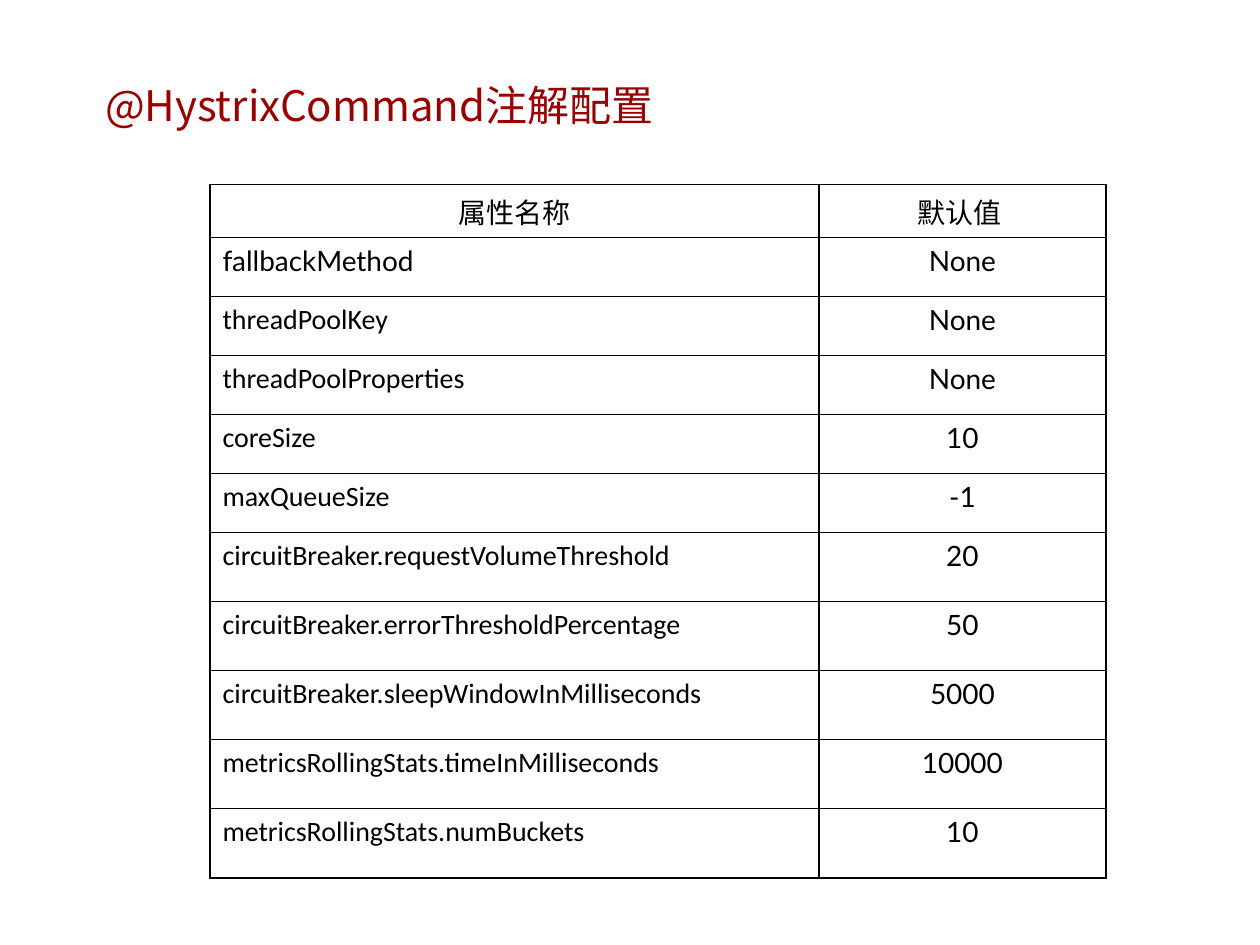
from dataclasses import dataclass

from lxml import etree
from pptx import Presentation
from pptx.dml.color import RGBColor
from pptx.enum import text as tx
from pptx.oxml import ns
from pptx.util import Pt


@dataclass(frozen=True)
class Theme:
    title_color: str = "990000"
    ink: str = "000000"
    title_size: int = 24
    cell_size: int = 16
    cjk_font: str = "Noto Sans CJK SC"
    body_font: str = "Lato"
    key_font: str = "Calibri"
    border: int = 1


THEME = Theme()

HEADER = ("属性名称", "默认值 ")
SETTINGS = [
    ("fallbackMethod", "None"),
    ("threadPoolKey", "None"),
    ("threadPoolProperties", "None"),
    ("coreSize", "10"),
    ("maxQueueSize", "-1"),
    ("circuitBreaker.requestVolumeThreshold", "20"),
    ("circuitBreaker.errorThresholdPercentage", "50"),
    ("circuitBreaker.sleepWindowInMilliseconds", "5000"),
    ("metricsRollingStats.timeInMilliseconds", "10000"),
    ("metricsRollingStats.numBuckets", "10"),
]
COLUMN_WIDTHS = (348, 164)
HEADER_HEIGHT, SHORT_ROW, TALL_ROW = 26, 33.7, 39.5


def write(frame, words, *, font, size, color, align=tx.PP_ALIGN.LEFT):
    """Put one formatted run in a text frame."""
    paragraph = frame.paragraphs[0]
    paragraph.alignment = align
    run = paragraph.add_run()
    run.text = words
    run.font.name = font
    run.font.size = Pt(size)
    run.font.color.rgb = RGBColor.from_string(color)
    # East Asian characters take their own typeface
    east_asian = etree.SubElement(run.font._element, ns.qn("a:ea"))
    east_asian.set("typeface", THEME.cjk_font)


def set_borders(cell):
    properties = cell._tc.get_or_add_tcPr()
    for position, side in enumerate(("lnL", "lnR", "lnT", "lnB")):
        line = etree.Element(ns.qn(f"a:{side}"), w=str(Pt(THEME.border)))
        fill = etree.SubElement(line, ns.qn("a:solidFill"))
        etree.SubElement(fill, ns.qn("a:srgbClr"), val=THEME.ink)
        properties.insert(position, line)


def add_title(slide, words):
    title = slide.shapes.title
    title.left, title.top, title.width, title.height = Pt(60), Pt(26), Pt(601), Pt(68)
    frame = title.text_frame
    frame.margin_left = frame.margin_right = frame.margin_top = frame.margin_bottom = 0
    frame.vertical_anchor = tx.MSO_ANCHOR.MIDDLE
    write(frame, words, font=THEME.cjk_font, size=THEME.title_size,
          color=THEME.title_color)


def add_settings_table(slide):
    rows = [HEADER, *SETTINGS]
    heights = [HEADER_HEIGHT] + [SHORT_ROW] * 5 + [TALL_ROW] * 5
    table = slide.shapes.add_table(len(rows), len(HEADER), Pt(120), Pt(105.5),
                                   Pt(sum(COLUMN_WIDTHS)), Pt(sum(heights))).table
    table.first_row = table.horz_banding = False
    for column, width in zip(table.columns, COLUMN_WIDTHS):
        column.width = Pt(width)

    for r, (values, height) in enumerate(zip(rows, heights)):
        table.rows[r].height = Pt(height)
        for c, words in enumerate(values):
            cell = table.cell(r, c)
            cell.fill.background()
            set_borders(cell)
            is_key = c == 0 and r > 0
            # The first setting shares the header's typeface
            font = THEME.key_font if is_key and r > 1 else THEME.body_font
            write(cell.text_frame, words, font=font, size=THEME.cell_size,
                  color=THEME.ink,
                  align=tx.PP_ALIGN.LEFT if is_key else tx.PP_ALIGN.CENTER)


def main():
    deck = Presentation()
    deck.slide_width, deck.slide_height = Pt(720), Pt(540)
    slide = deck.slides.add_slide(deck.slide_layouts.get_by_name("Title Only"))
    add_title(slide, "@HystrixCommand注解配置")
    add_settings_table(slide)
    deck.save("out.pptx")


if __name__ == "__main__":
    main()
